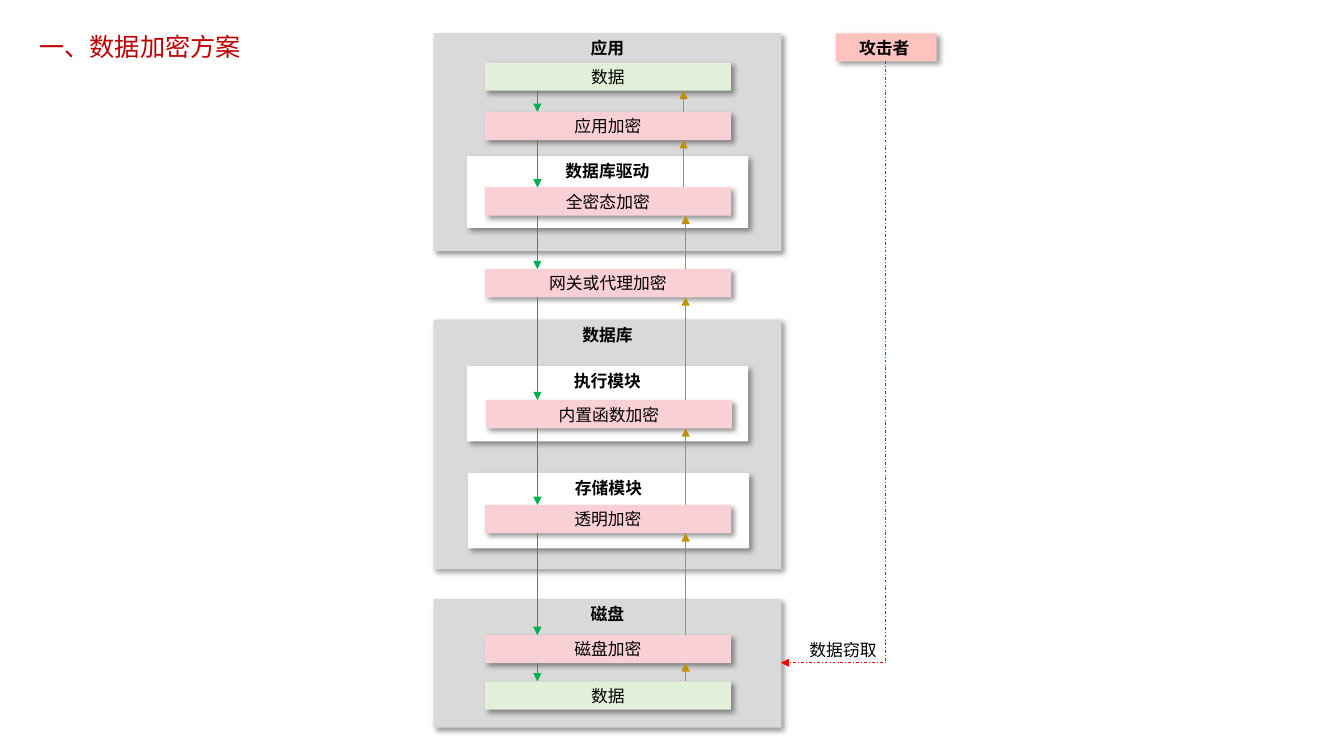
from lxml import etree
from pptx import Presentation
from pptx.dml.color import RGBColor
from pptx.enum.dml import MSO_LINE
from pptx.enum.shapes import MSO_CONNECTOR, MSO_SHAPE
from pptx.enum.text import MSO_ANCHOR, PP_ALIGN
from pptx.oxml import parse_xml
from pptx.oxml.ns import nsdecls, qn
from pptx.util import Inches, Pt

RECTANGLE = MSO_SHAPE.RECTANGLE
STRAIGHT, ELBOW = MSO_CONNECTOR.STRAIGHT, MSO_CONNECTOR.ELBOW
DASH_DOT = MSO_LINE.DASH_DOT
TOP, MIDDLE = MSO_ANCHOR.TOP, MSO_ANCHOR.MIDDLE
LEFT, CENTER = PP_ALIGN.LEFT, PP_ALIGN.CENTER

BLACK = RGBColor(0x00, 0x00, 0x00)
WHITE = RGBColor(0xFF, 0xFF, 0xFF)
GRAY = RGBColor(0xD9, 0xD9, 0xD9)
PINK = RGBColor(0xFA, 0xD0, 0xD7)
PALE_GREEN = RGBColor(0xE2, 0xF0, 0xD9)
SALMON = RGBColor(0xFE, 0xC3, 0xBE)
DARK_RED = RGBColor(0xC0, 0x00, 0x00)
RED = RGBColor(0xFF, 0x00, 0x00)
GREEN = RGBColor(0x00, 0xB0, 0x50)
GOLD = RGBColor(0xBF, 0x90, 0x00)

FONT = "Noto Sans CJK SC"
BAR_HEIGHT = 0.28
SHADOW = (
    f'<a:outerShdw {nsdecls("a")} blurRad="{Pt(4)}" dist="{Pt(3)}" dir="2700000" '
    'algn="tl" rotWithShape="0"><a:srgbClr val="000000"><a:alpha val="40000"/>'
    '</a:srgbClr></a:outerShdw>'
)

deck = Presentation()
deck.slide_width, deck.slide_height = Inches(13.33), Inches(7.5)
page = deck.slides.add_slide(deck.slide_layouts[6])


def add_box(text, left, top, width, height, fill=None, size=12, color=BLACK,
            bold=False, anchor=TOP, align=CENTER):
    place = [Inches(value) for value in (left, top, width, height)]
    if fill is None:
        box = page.shapes.add_textbox(*place)
    else:
        box = page.shapes.add_shape(RECTANGLE, *place)
        box.fill.solid()
        box.fill.fore_color.rgb = fill
        box.line.fill.background()
        box.shadow.inherit = False
        box._element.spPr.find(qn("a:effectLst")).append(parse_xml(SHADOW))
    frame = box.text_frame
    frame.word_wrap = True
    frame.vertical_anchor = anchor
    para = frame.paragraphs[0]
    para.alignment = align
    span = para.add_run()
    span.text = text
    span.font.name = FONT
    span.font.size = Pt(size)
    span.font.bold = bold
    span.font.color.rgb = color
    east_asian = etree.SubElement(span._r.get_or_add_rPr(), qn("a:ea"))
    east_asian.set("typeface", FONT)


def add_arrow(start, end, color, kind=STRAIGHT):
    points = [Inches(value) for value in (*start, *end)]
    arrow = page.shapes.add_connector(kind, *points)
    arrow.line.color.rgb = color
    arrow.line.width = Pt(0.5)
    properties = arrow._element.spPr
    etree.SubElement(properties.find(qn("a:ln")), qn("a:tailEnd")).set("type", "triangle")
    etree.SubElement(properties, qn("a:effectLst"))
    return arrow


layers = [("应用", 0.33, 2.16), ("数据库", 3.17, 2.48), ("磁盘", 5.94, 1.28)]
for name, top, height in layers:
    add_box(name, 4.3, top, 3.45, height, fill=GRAY, bold=True)

modules = [
    ("数据库驱动", 4.63, 1.55, 0.71),
    ("执行模块", 4.63, 3.63, 0.75),
    ("存储模块", 4.64, 4.69, 0.75),
]
for name, left, top, height in modules:
    add_box(name, left, top, 2.79, height, fill=WHITE, bold=True)

stages = [
    ("数据", 4.81, 0.62, PALE_GREEN),
    ("应用加密", 4.81, 1.11, PINK),
    ("全密态加密", 4.81, 1.86, PINK),
    ("网关或代理加密", 4.81, 2.67, PINK),
    ("内置函数加密", 4.82, 3.97, PINK),
    ("透明加密", 4.81, 5.01, PINK),
    ("磁盘加密", 4.81, 6.3, PINK),
    ("数据", 4.81, 6.76, PALE_GREEN),
]
for name, left, top, fill in stages:
    add_box(name, left, top, 2.44, BAR_HEIGHT, fill=fill, anchor=MIDDLE)

tops = [top for name, left, top, fill in stages]
for index, (upper, lower) in enumerate(zip(tops, tops[1:])):
    bottom = upper + BAR_HEIGHT
    return_x = 6.78 if index < 2 else 6.8
    add_arrow((5.33, bottom), (5.33, lower), GREEN)
    add_arrow((return_x, lower), (return_x, bottom), GOLD)

add_box("一、数据加密方案", 0.29, 0.26, 2.71, 0.4, size=18, color=DARK_RED, align=LEFT)
add_box("攻击者 ", 8.29, 0.33, 1, BAR_HEIGHT, fill=SALMON, bold=True, anchor=MIDDLE)

theft = add_arrow((5.28, 3.07), (11.25, 4.11), RED, kind=ELBOW)
theft.line.dash_style = DASH_DOT
theft_properties = theft._element.spPr
theft_properties.find(qn("a:xfrm")).set("rot", "5400000")
theft_properties.find(qn("a:prstGeom")).set("prst", "bentConnector2")

add_box("数据窃取", 7.93, 6.3, 0.95, 0.3, align=LEFT)

deck.save("out.pptx")
